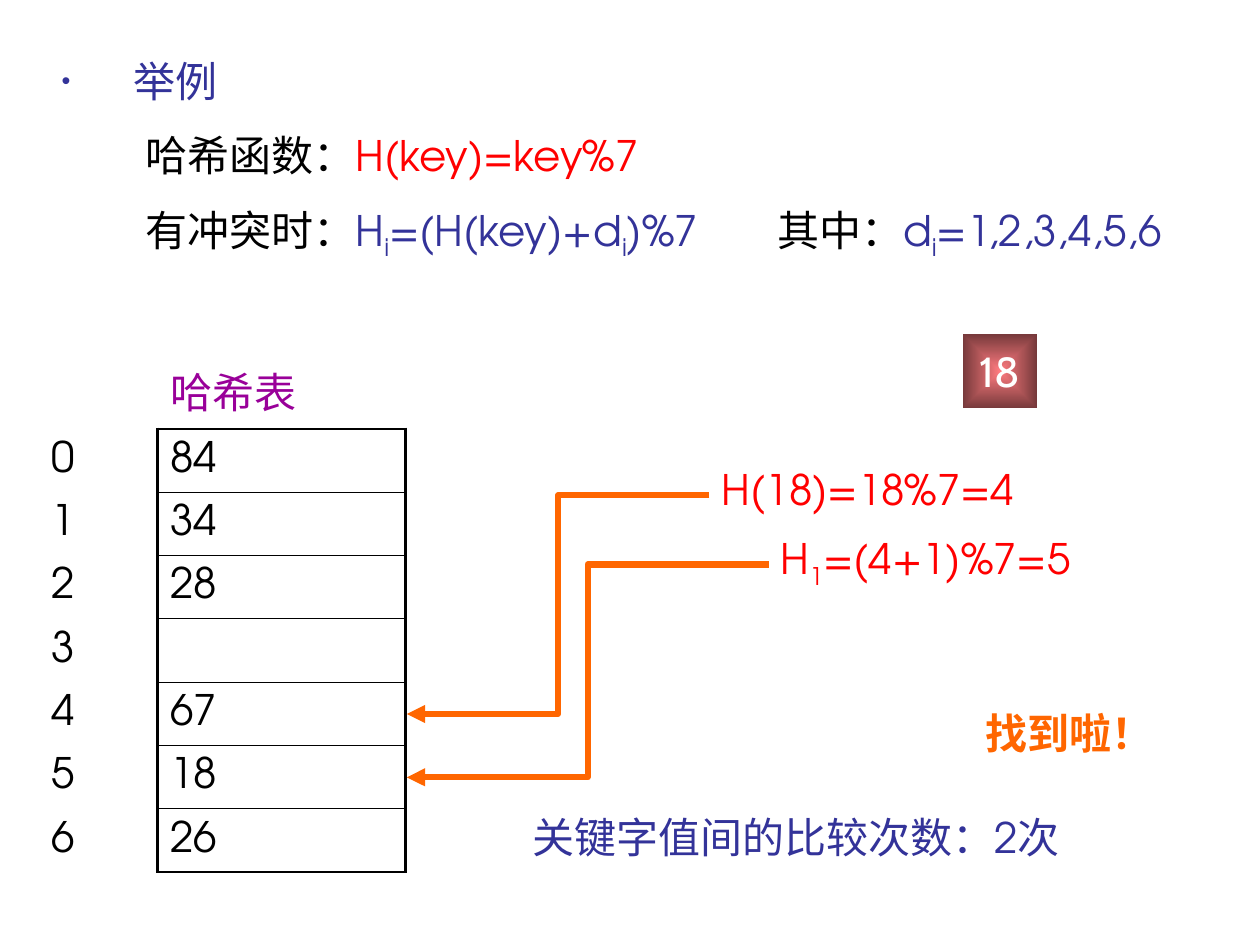
"""Build a slide that looks up a key in a hash table with linear probing."""
from dataclasses import dataclass

from lxml import etree
from pptx import Presentation
from pptx import util as u
from pptx.dml.color import RGBColor
from pptx.enum import shapes, text
from pptx.oxml.ns import qn

COLORS = {"ink": "000000", "blue": "333399", "red": "FF0000", "purple": "990099",
          "orange": "FF6600", "white": "FFFFFF", "glow": "FF7C80", "edge": "76393B"}
COLS, ROWS = 100, 75
CELL = u.Inches(0.1)
FONT = "TeX Gyre Adventor"
JUSTIFY, CENTER, LEFT = text.PP_ALIGN.JUSTIFY, text.PP_ALIGN.CENTER, text.PP_ALIGN.LEFT

TOP, LINE = 3.9, 5.9
TABLE_LEFT, TABLE_TOP = 3.1, 29
TABLE_COLS, TABLE_ROW = (9.4, 19.7), 5.03
TABLE_RIGHT = TABLE_LEFT + sum(TABLE_COLS)
SLOTS = ("84", "34", "28", "", "67", "18", "26")
THICK, THIN = 1.47, 0.45


@dataclass
class Span:
    text: str
    color: str
    sub: bool = False


@dataclass
class Label:
    left: float
    top: float
    width: float
    height: float
    spans: list[Span]
    align: text.PP_ALIGN = JUSTIFY
    before: float = 15
    indent: float = 0
    bullet: str = ""
    font: str = FONT
    bold: bool = False
    wrap: bool = True


@dataclass
class Probe:
    label: Label
    slot: int


def grid(n: float) -> int:
    return round(n * CELL)


def rgb(name: str) -> RGBColor:
    return RGBColor.from_string(COLORS[name])


def add(parent, tag: str, **attrs: str):
    return etree.SubElement(parent, qn(tag), attrs)


def write(p, spans: list[Span], font: str = FONT, before: float = 0, bold: bool = False) -> None:
    p.space_before = u.Pt(before)
    f = p.font
    f.name, f.size, f.bold = font, u.Pt(24), bold
    f.color.rgb = rgb(spans[0].color)
    add(p._p.pPr.find(qn("a:defRPr")), "a:ea", typeface=font)
    for span in spans:
        r = p.add_run()
        r.text = span.text
        if span.color != spans[0].color:
            r.font.color.rgb = rgb(span.color)
        if span.sub:
            r._r.get_or_add_rPr().set("baseline", "-25000")


def add_bullet(p, char: str, indent: float, color: str) -> None:
    pPr = p._p.get_or_add_pPr()
    pPr.set("indent", str(-grid(indent)))
    marks = [add(pPr, "a:buClr"), add(pPr, "a:buSzPct", val="60000"),
             add(pPr, "a:buFont", typeface="Arial"), add(pPr, "a:buChar", char=char)]
    add(marks[0], "a:srgbClr", val=COLORS[color])
    for mark in marks:
        pPr.find(qn("a:defRPr")).addprevious(mark)


def add_label(s, label: Label) -> None:
    sp = s.shapes.add_textbox(*map(grid, (label.left, label.top, label.width, label.height)))
    tf = sp.text_frame
    tf.word_wrap = label.wrap
    p = tf.paragraphs[0]
    p.alignment = label.align
    write(p, label.spans, label.font, label.before, label.bold)
    if label.indent:
        p._p.pPr.set("marL", str(grid(label.indent)))
    if label.bullet:
        add_bullet(p, label.bullet, label.indent, label.spans[0].color)


def add_key(s, key: str) -> None:
    sp = s.shapes.add_shape(shapes.MSO_SHAPE.RECTANGLE, *map(grid, (76.4, 26.5, LINE, LINE)))
    sp.shadow.inherit = False
    sp.line.fill.background()
    sp.fill.gradient()
    for stop, name in zip(sp.fill.gradient_stops, ("glow", "edge")):
        stop.color.rgb = rgb(name)
    grad = sp._element.spPr.find(qn("a:gradFill"))
    grad.remove(grad.find(qn("a:lin")))
    centre = dict.fromkeys("ltrb", "50000")
    add(add(grad, "a:path", path="rect"), "a:fillToRect", **centre)
    tf = sp.text_frame
    tf.word_wrap = False
    tf.vertical_anchor = text.MSO_ANCHOR.MIDDLE
    p = tf.paragraphs[0]
    p.alignment = CENTER
    write(p, [Span(key, "white")], "Cabin")


def set_borders(cell, **widths: float) -> None:
    cell.fill.background()
    tcPr = cell._tc.get_or_add_tcPr()
    for i, side in enumerate("LRTB"):
        width = widths.get(side, 0)
        ln = add(tcPr, f"a:ln{side}", w=str(u.Pt(width)))
        if width:
            add(add(ln, "a:solidFill"), "a:srgbClr", val=COLORS["ink"])
        else:
            add(ln, "a:noFill")
        tcPr.insert(i, ln)


def add_hash_table(s) -> None:
    count = len(SLOTS) + 1
    size = (TABLE_LEFT, TABLE_TOP, sum(TABLE_COLS), TABLE_ROW * count)
    table = s.shapes.add_table(count, 2, *map(grid, size)).table
    table.first_row = table.horz_banding = False
    for column, width in zip(table.columns, TABLE_COLS):
        column.width = grid(width)
    rows = [("", "哈希表")] + [(str(i), slot) for i, slot in enumerate(SLOTS)]
    for i, values in enumerate(rows):
        table.rows[i].height = grid(TABLE_ROW)
        for cell, value in zip(table.rows[i].cells, values):
            cell.vertical_anchor = text.MSO_ANCHOR.MIDDLE
            if value:
                color = "ink" if i else "purple"
                write(cell.text_frame.paragraphs[0], [Span(value, color)], before=6)
        index, slot = table.rows[i].cells
        if i:
            set_borders(index, R=THICK)
            set_borders(slot, L=THICK, R=THICK, T=THICK if i == 1 else THIN,
                        B=THICK if i == len(SLOTS) else THIN)
        else:
            set_borders(index)
            set_borders(slot, B=THICK)


def add_probe(s, probe: Probe) -> None:
    label = probe.label
    add_label(s, label)
    start = label.left, label.top + 3
    end = TABLE_RIGHT + 0.1, TABLE_TOP + TABLE_ROW * (probe.slot + 1.5)
    c = s.shapes.add_connector(shapes.MSO_CONNECTOR.ELBOW, *map(grid, start + end))
    c.line.color.rgb = rgb("orange")
    c.line.width = u.Pt(3.5)
    add(c.line._get_or_add_ln(), "a:tailEnd", type="triangle")
    add(c._element.spPr, "a:effectLst")


LABELS = [
    Label(3.9, TOP, 90.5, LINE, [Span("举例", "blue")], indent=5.7, bullet="•"),
    Label(3.9, TOP + LINE, 90.5, LINE,
          [Span("哈希函数：", "ink"), Span("H(key)=key%7", "red")], indent=6.67),
    Label(3.9, TOP + 2 * LINE, 90.5, LINE,
          [Span("有冲突时：", "ink"), Span("H", "blue"), Span("i", "blue", True),
           Span("=(H(key)+d", "blue"), Span("i", "blue", True), Span(")%7", "blue")],
          indent=6.67),
    Label(60.7, TOP + 2 * LINE, 35.4, LINE,
          [Span("其中：", "ink"), Span("d", "blue"), Span("i", "blue", True),
           Span("=1,2,3,4,5,6", "blue")]),
    Label(77.2, 55.7, 15, 5, [Span("找到啦！", "orange")], LEFT, before=0,
          font="Noto Sans CJK SC", bold=True, wrap=False),
    Label(41.3, 63.9, 52.4, 5, [Span("关键字值间的比较次数：2次", "blue")], LEFT),
]
PROBES = [
    Probe(Label(56.3, 36.3, 26.4, LINE, [Span("H(18)=18%7=4", "red")]), 4),
    Probe(Label(61, 41.8, 26.4, LINE,
                [Span("H", "red"), Span("1", "red", True), Span("=(4+1)%7=5", "red")]), 5),
]


def main() -> None:
    prs = Presentation()
    prs.slide_width, prs.slide_height = grid(COLS), grid(ROWS)
    s = prs.slides.add_slide(prs.slide_layouts[6])
    add_hash_table(s)
    add_key(s, "18")
    for label in LABELS:
        add_label(s, label)
    for probe in PROBES:
        add_probe(s, probe)
    prs.save("out.pptx")


if __name__ == "__main__":
    main()
